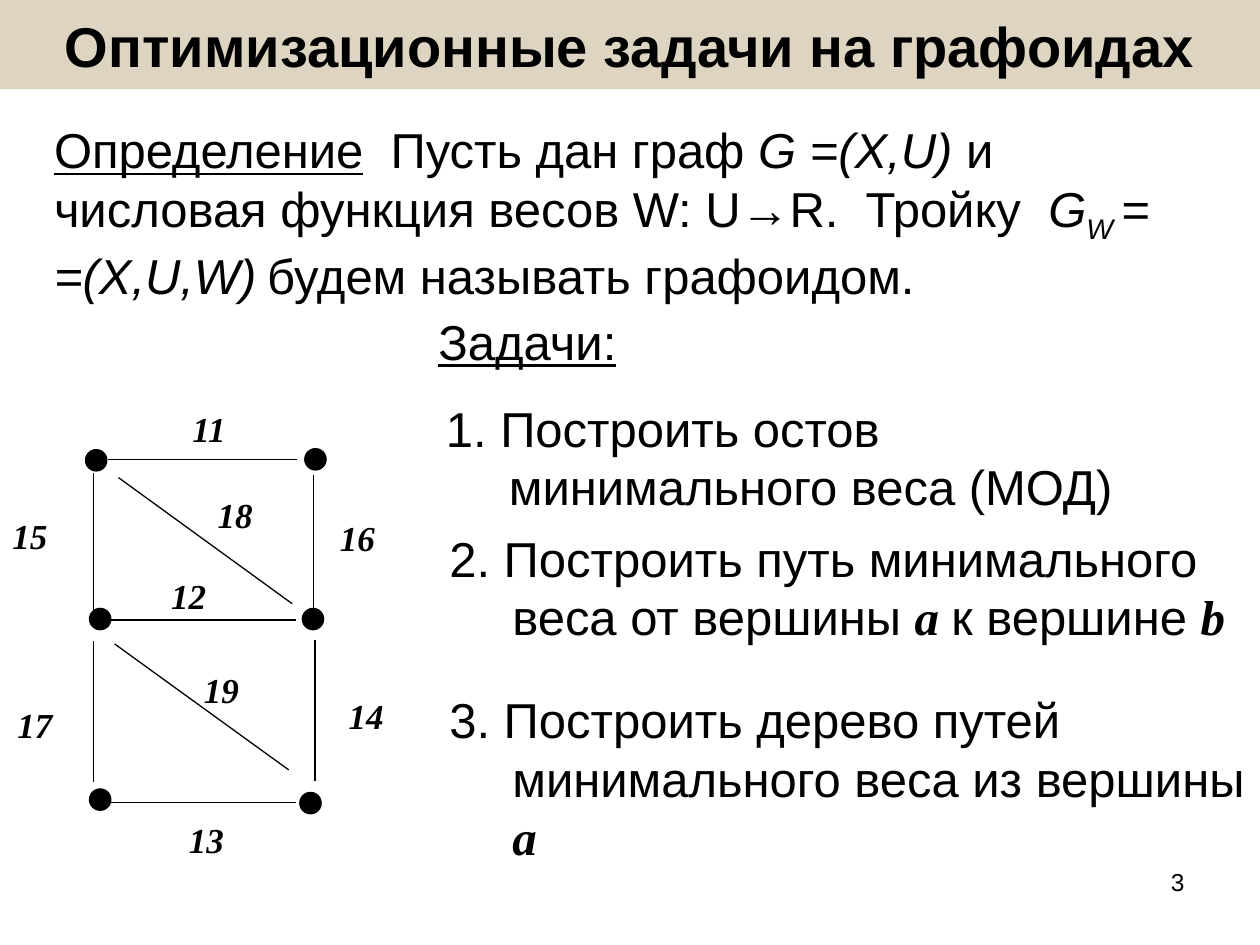
from lxml.etree import SubElement
from pptx import Presentation
from pptx.dml.color import RGBColor
from pptx.enum.shapes import MSO_CONNECTOR, MSO_SHAPE
from pptx.enum.text import MSO_ANCHOR, PP_ALIGN
from pptx.oxml.ns import qn
from pptx.util import Cm, Pt

COLORS = {"ink": "000000", "band": "DDD5C1"}
SANS, SERIF = "Arial", "Times New Roman"
NODE_SIZE = 0.43
NODES = [(1.94, 1.18), (6.36, 1.16), (2.02, 4.38),
         (6.31, 4.38), (2.02, 8.02), (6.26, 8.09)]
EDGES = [
    ("11", (3.63, 0), (2.18, 1.17), (5.99, 1.17)),
    ("12", (3.2, 3.36), (2.16, 4.4), (5.97, 4.4)),
    ("13", (3.56, 8.28), (2.16, 8.08), (5.97, 8.08)),
    ("14", (6.78, 5.77), (6.35, 4.8), (6.35, 7.65)),
    ("15", (0, 2.14), (1.88, 1.43), (1.88, 4.27)),
    ("16", (6.6, 2.19), (6.32, 1.48), (6.32, 4.35)),
    ("17", (0.1, 5.95), (1.88, 4.83), (1.88, 7.67)),
    ("18", (4.14, 1.73), (2.39, 1.53), (5.89, 4.07)),
    ("19", (3.86, 5.26), (2.31, 4.88), (5.82, 7.42)),
]
UNDERLINE = {"underline": True}
ITALIC = {"italic": True}
VERTEX = {"name": SERIF, "bold": True, "italic": True}
DEFINITION = [
    ("Определение", UNDERLINE),
    ("  Пусть дан граф ", {}),
    ("G =(Х,U)", ITALIC),
    (" и числовая функция весов W: U→R.  Тройку  ", {}),
    ("G", ITALIC),
    ("W ", {"italic": True, "baseline": "-25000"}),
    ("= =(Х,U,W)", ITALIC),
    (" ", {"size": Pt(22)}),
    ("будем называть графоидом.", {}),
]
TASKS = [
    ((8.74, 7.9, 15.62, 2.64),
     [("1. Построить остов минимального веса (МОД)", {})]),
    ((8.81, 10.52, 16.59, 2.64),
     [("2. Построить путь минимального веса от вершины ", {}),
      ("a ", VERTEX), ("к вершине ", {}), ("b", VERTEX)]),
    ((8.81, 13.77, 16.59, 3.81),
     [("3. Построить дерево путей минимального веса из вершины ", {}),
      ("a", VERTEX)]),
]


def rgb(key):
    """Return the named colour."""
    return RGBColor.from_string(COLORS[key])


def write(tf, runs, size, font=SANS, bold=None, italic=None):
    """Fill the first paragraph of a frame with styled runs."""
    tf.word_wrap = True
    p = tf.paragraphs[0]
    p.font.size, p.font.name = Pt(size), font
    p.font.bold, p.font.italic = bold, italic
    p.font.color.rgb = rgb("ink")
    for text, style in runs:
        r = p.add_run()
        r.text = text
        r.font.size, r.font.name = Pt(size), font
        r.font.bold, r.font.italic = bold, italic
        r.font.color.rgb = rgb("ink")
        for key, value in style.items():
            if key == "baseline":
                r.font._element.set(key, value)
            else:
                setattr(r.font, key, value)
    return p


def add_text(shapes, box, runs, size=28, **style):
    """Add a wrapped text box and return its paragraph."""
    sp = shapes.add_textbox(*map(Cm, box))
    return write(sp.text_frame, runs, size, **style)


def add_title(shapes, box):
    """Add the title band."""
    sp = shapes.add_shape(MSO_SHAPE.RECTANGLE, *map(Cm, box))
    sp.shadow.inherit = False
    sp.fill.solid()
    sp.fill.fore_color.rgb = rgb("band")
    sp.line.fill.background()
    sp.text_frame.vertical_anchor = MSO_ANCHOR.MIDDLE
    p = write(sp.text_frame, [("Оптимизационные задачи на графоидах", {})],
              32, bold=True)
    p.alignment = PP_ALIGN.CENTER


def add_node(shapes, x, y):
    """Add a graph vertex centred on a point."""
    corner = (x - NODE_SIZE / 2, y - NODE_SIZE / 2)
    sp = shapes.add_shape(MSO_SHAPE.OVAL, *map(Cm, corner),
                          Cm(NODE_SIZE), Cm(NODE_SIZE))
    sp.shadow.inherit = False
    sp.fill.solid()
    sp.fill.fore_color.rgb = rgb("ink")
    sp.line.color.rgb = rgb("ink")
    sp.line.width = Pt(0.75)


def add_edge(shapes, start, end):
    """Add a thin line between two points."""
    line = shapes.add_connector(MSO_CONNECTOR.STRAIGHT, *map(Cm, start + end))
    line.line.color.rgb = rgb("ink")
    line.line.width = Pt(0.75)
    SubElement(line._element.spPr, qn("a:effectLst"))


def add_graph(shapes, left, top):
    """Add the weighted graph as one group."""
    parts = shapes.add_group_shape().shapes

    def place(point):
        """Move a point of the graph to the slide."""
        return left + point[0], top + point[1]

    for node in NODES:
        add_node(parts, *place(node))
    for weight, label, start, end in EDGES:
        add_edge(parts, place(start), place(end))
        add_text(parts, (*place(label), 1.42, 1.12), [(weight, {})], 20,
                 font=SERIF, bold=True, italic=True)


def add_tasks(shapes):
    """Add the numbered tasks with hanging indents."""
    for box, runs in TASKS:
        pPr = add_text(shapes, box, runs)._p.get_or_add_pPr()
        pPr.set("marL", str(Cm(1.27)))
        pPr.set("indent", str(-Cm(1.27)))


def main():
    """Build and save the slide."""
    prs = Presentation()
    prs.slide_width, prs.slide_height = Cm(25.4), Cm(19.05)
    shapes = prs.slides.add_slide(prs.slide_layouts[6]).shapes
    add_title(shapes, (0, 0, 25.4, 1.8))
    add_text(shapes, (0.84, 2.29, 23.75, 3.99), DEFINITION)
    add_text(shapes, (8.59, 6.15, 12.6, 1.45), [("Задачи:", UNDERLINE)])
    add_graph(shapes, 0, 8.1)
    add_tasks(shapes)
    p = add_text(shapes, (18.21, 17.35, 5.92, 1.32), [("3", {})], 14)
    p.alignment = PP_ALIGN.RIGHT
    prs.save("out.pptx")


if __name__ == "__main__":
    main()
